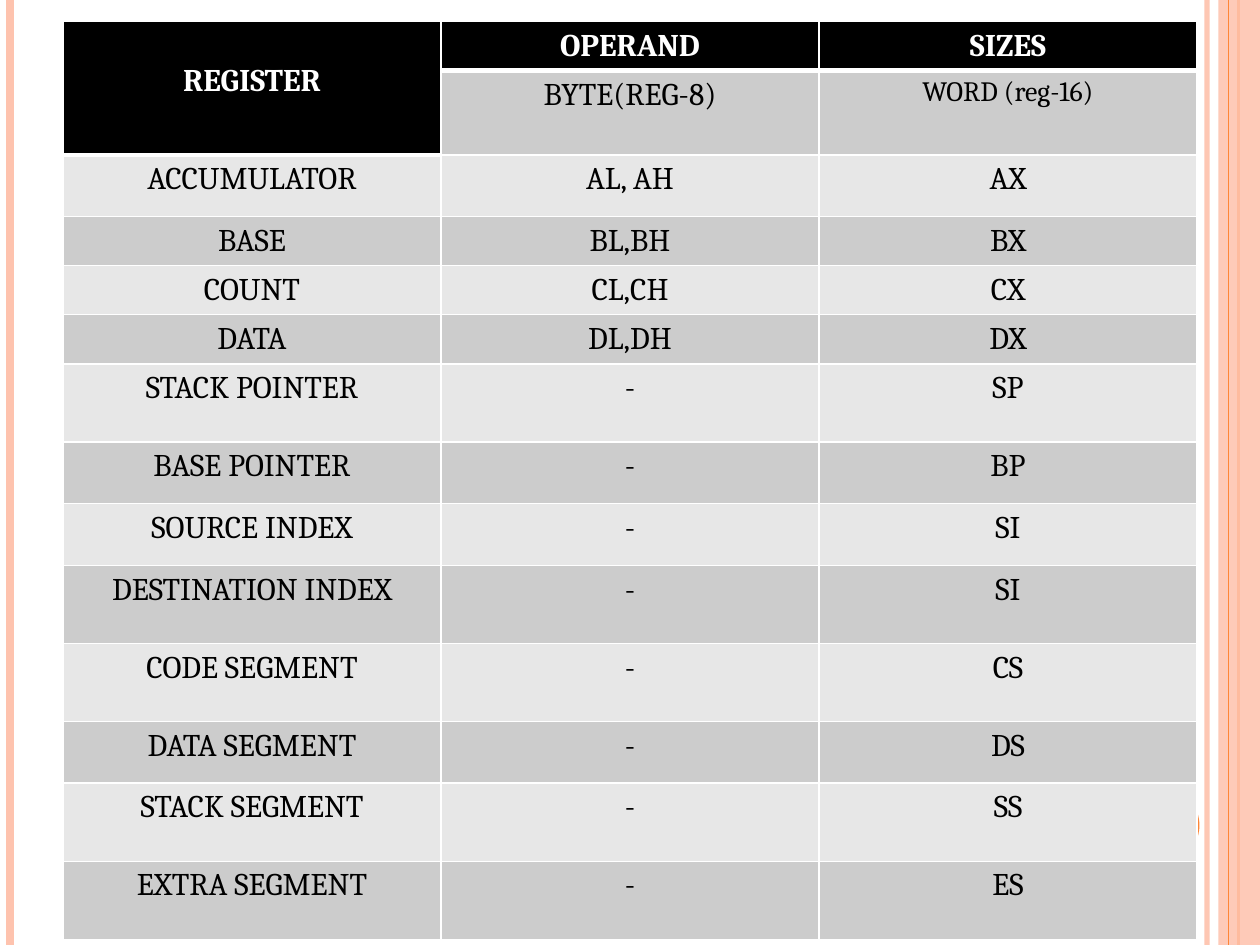
from lxml.etree import SubElement
from pptx import Presentation
from pptx.dml.color import RGBColor
from pptx.enum.shapes import MSO_CONNECTOR as CONN, MSO_SHAPE as SHAPE
from pptx.enum.text import MSO_ANCHOR as ANCHOR, PP_ALIGN as ALIGN
from pptx.oxml.ns import qn
from pptx.util import Inches, Pt

W, H = 10, 7.5
FONT = "Cambria"
COLORS = {"peach": "FEC3AE", "orange": "FE8637", "header": "000000",
          "dark": "CCCCCC", "light": "E7E7E7", "white": "FFFFFF", "text": "000000"}

HEADER = ("REGISTER", "OPERAND", "SIZES")
SUBHEADER = ("", "BYTE(REG-8)", "WORD (reg-16)")
SHORT, MEDIUM, TALL = 0.39, 0.49, 0.62
REGISTERS = [
    ("ACCUMULATOR", "AL, AH", "AX", MEDIUM),
    ("BASE", "BL,BH", "BX", SHORT),
    ("COUNT", "CL,CH", "CX", SHORT),
    ("DATA", "DL,DH", "DX", SHORT),
    ("STACK POINTER", "-", "SP", TALL),
    ("BASE POINTER", "-", "BP", MEDIUM),
    ("SOURCE INDEX", "-", "SI", MEDIUM),
    ("DESTINATION INDEX", "-", "SI", TALL),
    ("CODE SEGMENT", "-", "CS", TALL),
    ("DATA SEGMENT", "-", "DS", MEDIUM),
    ("STACK SEGMENT", "-", "SS", TALL),
    ("EXTRA SEGMENT", "-", "ES", TALL),
]


def rgb(name):
    return RGBColor.from_string(COLORS[name])


def set_alpha(element, percent):
    color = next(element.iter(qn("a:srgbClr")))
    SubElement(color, qn("a:alpha"), val=str(percent * 1000))


def add_stripe(s, x, color, width, alpha=None):
    """Full-height vertical line."""
    line = s.shapes.add_connector(CONN.STRAIGHT, Inches(x), 0, Inches(x), Inches(H))
    line.line.color.rgb = rgb(color)
    line.line.width = Pt(width)
    if alpha:
        set_alpha(line.line._ln, alpha)
    SubElement(line._element.spPr, qn("a:effectLst"))


def add_block(s, kind, x, y, w, h, color, alpha=None):
    sp = s.shapes.add_shape(kind, Inches(x), Inches(y), Inches(w), Inches(h))
    sp.shadow.inherit = False
    sp.fill.solid()
    sp.fill.fore_color.rgb = rgb(color)
    sp.line.fill.background()
    if alpha:
        set_alpha(sp._element.spPr, alpha)


def write(cell, text, size=18, bold=False, color="text"):
    p = cell.text_frame.paragraphs[0]
    p.alignment = ALIGN.CENTER
    r = p.add_run()
    r.text = text
    r.font.name, r.font.size, r.font.bold = FONT, Pt(size), bold
    r.font.color.rgb = rgb(color)


def paint(cell, fill, bottom=1):
    """White borders, then the cell fill."""
    tc_pr = cell._tc.get_or_add_tcPr()
    for side, width in zip("LRTB", (1, 1, 1, bottom)):
        ln = SubElement(tc_pr, qn(f"a:ln{side}"), w=str(Pt(width)))
        solid = SubElement(ln, qn("a:solidFill"))
        SubElement(solid, qn("a:srgbClr"), val=COLORS["white"])
    cell.fill.solid()
    cell.fill.fore_color.rgb = rgb(fill)


def add_register_table(s):
    rows = [(*HEADER, 0.38), (*SUBHEADER, 0.67), *REGISTERS]
    height = sum(row[-1] for row in rows)
    table = s.shapes.add_table(len(rows), len(HEADER), Inches(0.5), Inches(0.17),
                               Inches(9), Inches(height)).table
    table.cell(0, 0).merge(table.cell(1, 0))
    for i, (*texts, row_height) in enumerate(rows):
        table.rows[i].height = Inches(row_height)
        for j, text in enumerate(texts):
            cell = table.cell(i, j)
            is_header = i == 0 or cell.is_spanned
            band = "dark" if i % 2 else "light"
            paint(cell, "header" if is_header else band, 3 if is_header else 1)
            if text:
                write(cell, text, size=16 if text == SUBHEADER[2] else 18,
                      bold=is_header, color="white" if is_header else "text")
    # The merged heading sits a line below the top
    merged = table.cell(0, 0)
    merged.vertical_anchor = ANCHOR.TOP
    merged.margin_top, merged.margin_bottom = Inches(0.33), 0


def main():
    prs = Presentation()
    prs.slide_width, prs.slide_height = Inches(W), Inches(H)
    s = prs.slides.add_slide(prs.slide_layouts[6])

    # Side decoration
    add_stripe(s, 9.58, "peach", 3, alpha=93)
    add_stripe(s, 0.08, "peach", 4.5)
    add_stripe(s, 9.83, "orange", 1.5)
    add_block(s, SHAPE.RECTANGLE, 9.67, 0, 0.33, H, "peach", alpha=87)
    add_stripe(s, 9.75, "orange", 0.75)
    add_block(s, SHAPE.OVAL, 8.92, 6.25, 0.6, 0.6, "orange")

    # Registers by operand size
    add_register_table(s)
    prs.save("out.pptx")


if __name__ == "__main__":
    main()
